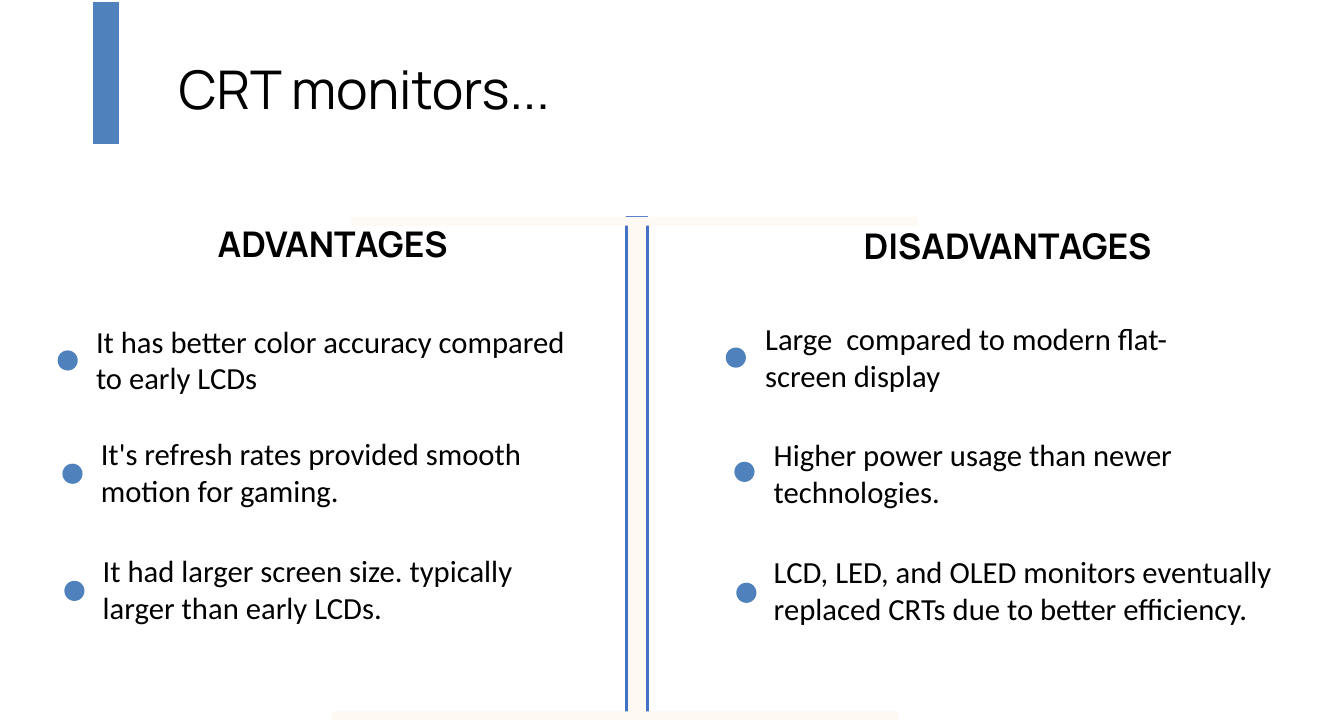
from pptx import Presentation
from pptx.dml.color import RGBColor
from pptx.enum.shapes import MSO_SHAPE as Shape
from pptx.enum.text import MSO_ANCHOR as Anchor, MSO_AUTO_SIZE as AutoSize, PP_ALIGN as Align
from pptx.util import Inches, Pt

BLUE = "4F81BD"
CREAM = "FEF9F2"
LINE_BLUE = "4472C4"
BLACK = "000000"
DOT_SIZE = 0.21

HEADINGS = [
    (1, "ADVANTAGES", (1.47, 2.27, 3.99, 0.53)),
    (3, "DISADVANTAGES", (8.47, 2.3, 4.05, 0.53)),
]
POINTS = [
    ("It has better color accuracy compared to early LCDs", (0.6, 3.65), (0.92, 3.32), 5.18),
    ("It's refresh rates provided smooth motion for gaming.", (0.65, 4.83), (0.97, 4.49), 5.18),
    ("It had larger screen size. typically larger than early LCDs.", (0.67, 6.05), (0.99, 5.71), 5.18),
    ("Large  compared to modern flat-screen display", (7.56, 3.62), (7.89, 3.29), 5.18),
    ("Higher power usage than newer technologies.", (7.65, 4.81), (7.98, 4.5), 5.18),
    ("LCD, LED, and OLED monitors eventually replaced CRTs due to better efficiency.",
     (7.67, 6.07), (7.98, 5.72), 5.72),
]


def color(value):
    return RGBColor.from_string(value)


def place(shape, box):
    shape.left, shape.top, shape.width, shape.height = map(Inches, box)


def add_shape(slide, kind, box, fill, line=None):
    shape = slide.shapes.add_shape(kind, *map(Inches, box))
    shape.shadow.inherit = False
    shape.fill.solid()
    shape.fill.fore_color.rgb = color(fill)
    if line:
        shape.line.color.rgb = color(line)
        shape.line.width = Pt(2)
    else:
        shape.line.fill.background()
    return shape


def write(shape, text, font, size, bold=False, align=Align.LEFT, insets=(0.08, 0.04)):
    frame = shape.text_frame
    frame.text = text
    frame.word_wrap = True
    frame.auto_size = AutoSize.NONE
    frame.vertical_anchor = Anchor.TOP
    frame.margin_left = frame.margin_right = Inches(insets[0])
    frame.margin_top = frame.margin_bottom = Inches(insets[1])
    paragraph = frame.paragraphs[0]
    paragraph.alignment = align
    paragraph.space_before = Pt(0)
    for run in paragraph.runs:
        run.font.name = font
        run.font.size = Pt(size)
        run.font.bold = bold
        run.font.color.rgb = color(BLACK)
    return paragraph


def add_title(slide, text):
    title = slide.shapes.title
    place(title, (1.86, 0.36, 6.89, 1.09))
    paragraph = write(title, text, "Manrope", 40, insets=(0, 0))
    paragraph.line_spacing = Pt(64.2)


def add_heading(slide, index, text, box):
    heading = slide.placeholders[index]
    place(heading, box)
    write(heading, text, "Manrope", 26.5, bold=True, align=Align.CENTER)


def add_point(slide, text, dot, corner, width):
    add_shape(slide, Shape.FLOWCHART_CONNECTOR, (*dot, DOT_SIZE, DOT_SIZE), BLUE)
    textbox = slide.shapes.add_textbox(*map(Inches, (*corner, width, 0.87)))
    write(textbox, text, "Calibri", 23)


def add_divider(slide):
    bar = add_shape(slide, Shape.MATH_MINUS, (3.1, 4.4, 7.07, 0.93), CREAM, LINE_BLUE)
    bar.rotation = 90
    for left, top in ((3.66, 2.26), (3.46, 7.41)):
        add_shape(slide, Shape.RECTANGLE, (left, top, 5.9, 0.09), CREAM)


def remove_empty_placeholders(slide):
    for placeholder in list(slide.placeholders):
        if not placeholder.text_frame.text:
            placeholder.element.getparent().remove(placeholder.element)


def main():
    presentation = Presentation()
    presentation.slide_width = Inches(14)
    presentation.slide_height = Inches(7.5)
    comparison = presentation.slide_layouts.get_by_name("Comparison")
    slide = presentation.slides.add_slide(comparison)

    add_shape(slide, Shape.MATH_MINUS, (0.92, -2.39, 0.37, 6.3), BLUE)
    add_title(slide, "CRT monitors...")
    add_divider(slide)
    for heading in HEADINGS:
        add_heading(slide, *heading)
    for point in POINTS:
        add_point(slide, *point)
    remove_empty_placeholders(slide)

    presentation.save("out.pptx")


if __name__ == "__main__":
    main()
